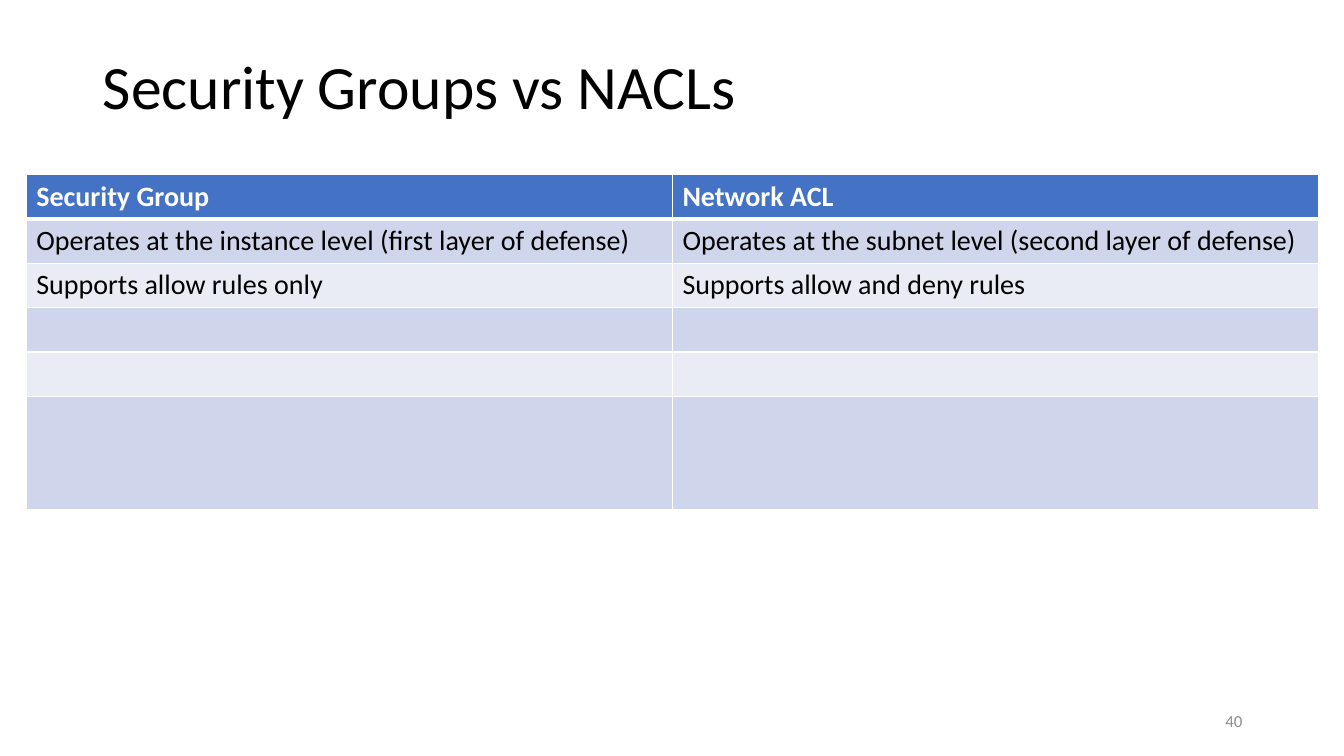
from lxml import etree
from pptx import Presentation
from pptx.dml.color import RGBColor
from pptx.enum import text
from pptx.oxml import ns
from pptx.util import Inches, Pt

FONT = "Calibri"
BLACK = RGBColor(0x00, 0x00, 0x00)
WHITE = RGBColor(0xFF, 0xFF, 0xFF)
GRAY = RGBColor(0x8C, 0x8C, 0x8C)
HEADER = RGBColor(0x44, 0x72, 0xC4)
BANDS = [RGBColor(0xE9, 0xEB, 0xF5), RGBColor(0xCF, 0xD5, 0xEA)]

ROWS = [
    ("Security Group", "Network ACL"),
    ("Operates at the instance level (first layer of defense)",
     "Operates at the subnet level (second layer of defense)"),
    ("Supports allow rules only", "Supports allow and deny rules"),
    ("", ""),
    ("", ""),
    ("", ""),
]
ROW_HEIGHT, LAST_ROW_HEIGHT = 0.44, 1.12


def add_run(p, words, size, color, bold=False):
    r = p.add_run()
    r.text = words
    r.font.name = FONT
    r.font.size = Pt(size)
    r.font.bold = bold
    r.font.color.rgb = color


def set_borders(cell, bottom):
    tcPr = cell._tc.get_or_add_tcPr()
    for side, width in (("L", 1), ("R", 1), ("T", 1), ("B", bottom)):
        ln = etree.SubElement(tcPr, ns.qn(f"a:ln{side}"), w=str(Pt(width)))
        fill = etree.SubElement(ln, ns.qn("a:solidFill"))
        etree.SubElement(fill, ns.qn("a:srgbClr"), val=str(WHITE))


def add_title(s, left, top, width, height):
    sp = s.shapes.title
    sp.left, sp.top = Inches(left), Inches(top)
    sp.width, sp.height = Inches(width), Inches(height)
    tf = sp.text_frame
    tf.vertical_anchor = text.MSO_ANCHOR.MIDDLE
    p = tf.paragraphs[0]
    p.alignment = text.PP_ALIGN.LEFT
    p.line_spacing = 0.9
    add_run(p, "Security Groups vs NACLs", 44, BLACK)


def add_comparison(s, left, top, width):
    height = ROW_HEIGHT * (len(ROWS) - 1) + LAST_ROW_HEIGHT
    table = s.shapes.add_table(len(ROWS), 2, Inches(left), Inches(top),
                               Inches(width), Inches(height)).table
    for row in table.rows:
        row.height = Inches(ROW_HEIGHT)
    table.rows[len(ROWS) - 1].height = Inches(LAST_ROW_HEIGHT)

    for i, row in enumerate(ROWS):
        header = i == 0
        for j, words in enumerate(row):
            cell = table.cell(i, j)
            set_borders(cell, 3 if header else 1)
            cell.fill.solid()
            cell.fill.fore_color.rgb = HEADER if header else BANDS[i % 2]
            if words:
                add_run(cell.text_frame.paragraphs[0], words, 20,
                        WHITE if header else BLACK, header)


def add_slide_number(s, left, top, width, height):
    sp = s.shapes.add_textbox(Inches(left), Inches(top), Inches(width), Inches(height))
    tf = sp.text_frame
    tf.word_wrap = True
    tf.vertical_anchor = text.MSO_ANCHOR.MIDDLE
    p = tf.paragraphs[0]
    p.alignment = text.PP_ALIGN.RIGHT
    add_run(p, "40", 12, GRAY)


def main():
    prs = Presentation()
    prs.slide_width, prs.slide_height = Inches(13.33), Inches(7.5)
    s = prs.slides.add_slide(prs.slide_layouts[5])
    # Title
    add_title(s, 0.92, 0.4, 11.5, 0.97)
    # Comparison table
    add_comparison(s, 0.26, 1.73, 12.82)
    # Slide number
    add_slide_number(s, 9.42, 6.95, 3, 0.4)
    prs.save("out.pptx")


if __name__ == "__main__":
    main()
